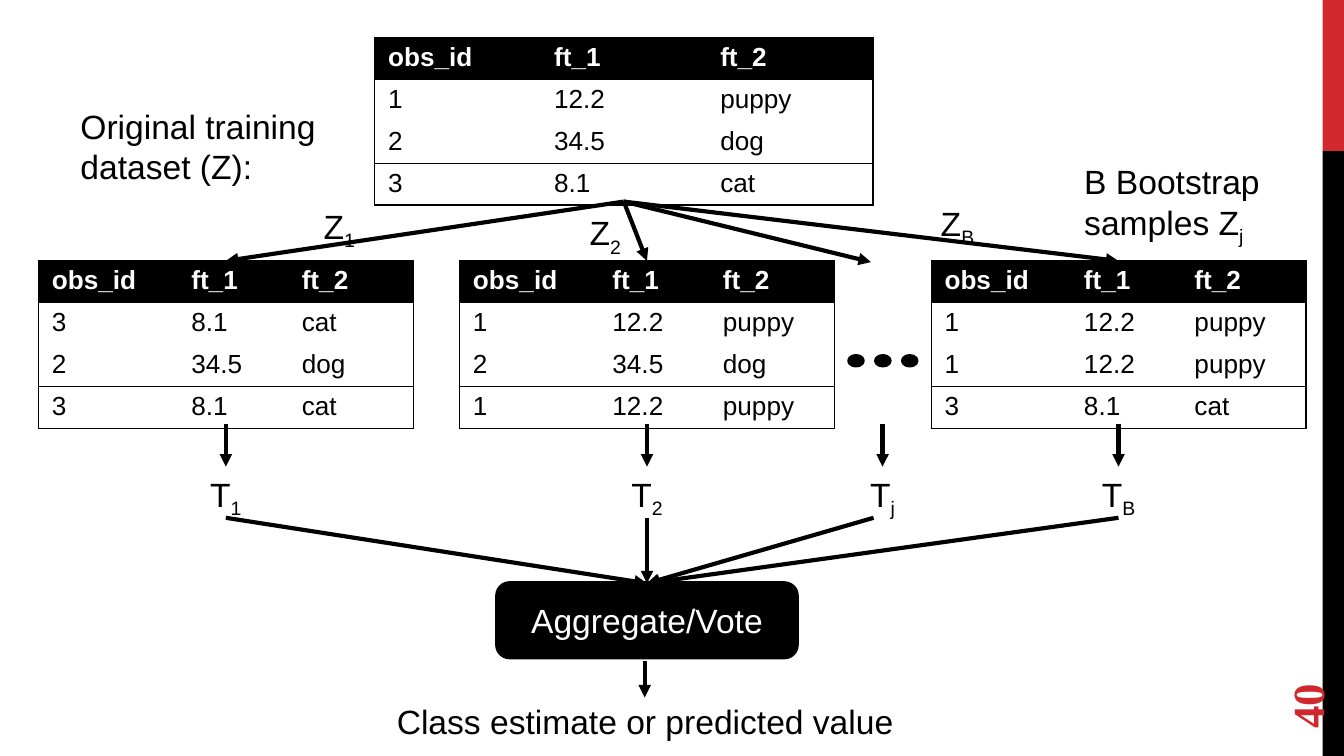
from dataclasses import dataclass

import pptx
import pptx.dml.color
import pptx.enum.shapes
import pptx.enum.text
import pptx.oxml
import pptx.oxml.ns
import pptx.util

Pt = pptx.util.Pt
RGB = pptx.dml.color.RGBColor
SHAPES = pptx.enum.shapes.MSO_SHAPE
ANCHOR = pptx.enum.text.MSO_ANCHOR
ALIGN = pptx.enum.text.PP_ALIGN
NS = pptx.oxml.ns.nsdecls("a")


@dataclass(frozen=True)
class Theme:
    """Colours, fonts and sizes of the slide."""
    ink: RGB = RGB(0, 0, 0)
    paper: RGB = RGB(255, 255, 255)
    accent: RGB = RGB(0xD1, 0x28, 0x2E)
    font: str = "Arial"
    number_font: str = "Times New Roman"
    label: int = 18
    cell: int = 14
    number: int = 24
    stroke: float = 2.25
    border: float = 0.75


THEME = Theme()
HEADER = ["obs_id", "ft_1", "ft_2"]
PUPPY, DOG, CAT = ("12.2", "puppy"), ("34.5", "dog"), ("8.1", "cat")
RULED_ROWS = (0, 1, 3)
SAMPLE_COLUMNS = [74.7, 59.2, 66.9]
SAMPLE_TOP = 139.8
SAMPLES = [
    (121, "1", [("3", *CAT), ("2", *DOG), ("3", *CAT)]),
    (346.6, "2", [("1", *PUPPY), ("2", *DOG), ("1", *PUPPY)]),
    (599.2, "B", [("1", *PUPPY), ("1", *PUPPY), ("3", *CAT)]),
]


def style_font(paragraph, size=THEME.label, color=THEME.ink, bold=False, name=THEME.font):
    """Set the font of a whole paragraph."""
    font = paragraph.font
    font.name, font.size, font.bold = name, Pt(size), bold
    font.color.rgb = color


def add_label(slide, left, top, width, height, text, subscript="", align=ALIGN.LEFT):
    """Add a text box, ending in a subscript where one is given."""
    box = slide.shapes.add_textbox(Pt(left), Pt(top), Pt(width), Pt(height))
    frame = box.text_frame
    frame.word_wrap = True
    frame.auto_size = pptx.enum.text.MSO_AUTO_SIZE.SHAPE_TO_FIT_TEXT
    paragraph = frame.paragraphs[0]
    paragraph.alignment = align
    paragraph.add_run().text = text
    if subscript:
        run = paragraph.add_run()
        run.text = subscript
        run.font._element.set("baseline", "-25000")
    style_font(paragraph)


def add_block(slide, kind, left, top, width, height, color, outlined=True):
    """Add a filled preset shape without shadow."""
    block = slide.shapes.add_shape(kind, Pt(left), Pt(top), Pt(width), Pt(height))
    block.shadow.inherit = False
    block.fill.solid()
    block.fill.fore_color.rgb = color
    if outlined:
        block.line.color.rgb = color
        block.line.width = Pt(THEME.stroke)
    else:
        block.line.fill.background()
    return block


def add_arrow(slide, start, end, target=None):
    """Add an arrow, joined to the top of a target where one is given."""
    arrow = slide.shapes.add_connector(
        pptx.enum.shapes.MSO_CONNECTOR.STRAIGHT, *map(Pt, (*start, *end)))
    arrow.line.color.rgb = THEME.ink
    arrow.line.width = Pt(THEME.stroke)
    arrow.line._get_or_add_ln().append(
        pptx.oxml.parse_xml(f'<a:tailEnd {NS} type="triangle"/>'))
    arrow._element.spPr.append(pptx.oxml.parse_xml(f"<a:effectLst {NS}/>"))
    if target is not None:
        arrow.end_connect(target, 0)


def set_borders(cell, drawn):
    """Draw the named sides of a cell and clear the others."""
    properties = cell._tc.get_or_add_tcPr()
    for side in "LRTB":
        paint = (f'<a:solidFill><a:srgbClr val="{THEME.ink}"/></a:solidFill>'
                 if side in drawn else "<a:noFill/>")
        properties.append(pptx.oxml.parse_xml(
            f'<a:ln{side} {NS} w="{Pt(THEME.border)}">{paint}</a:ln{side}>'))


def cell_sides(row, column):
    """Name the ruled sides of the cell at a row and column."""
    return {
        "L": column == 0,
        "R": column == len(HEADER) - 1,
        "T": row in RULED_ROWS,
        "B": row + 1 in RULED_ROWS or row == 3,
    }


def add_dataset(slide, left, top, widths, row_height, records):
    """Add a table of observations under the header row."""
    rows = [HEADER, *records]
    table = slide.shapes.add_table(
        len(rows), len(widths), Pt(left), Pt(top),
        Pt(sum(widths)), Pt(row_height * len(rows))).table
    table.first_row = table.horz_banding = False
    for column, width in zip(table.columns, widths):
        column.width = Pt(width)
    for r, values in enumerate(rows):
        table.rows[r].height = Pt(row_height)
        for c, value in enumerate(values):
            cell = table.cell(r, c)
            cell.text = value
            cell.margin_left = cell.margin_right = Pt(7.2)
            cell.margin_top = cell.margin_bottom = Pt(2.8)
            set_borders(cell, [s for s, on in cell_sides(r, c).items() if on])
            heading = r == 0
            if heading:
                cell.fill.solid()
                cell.fill.fore_color.rgb = THEME.ink
            else:
                cell.fill.background()
            style_font(cell.text_frame.paragraphs[0], THEME.cell,
                       THEME.paper if heading else THEME.ink, heading)


def add_page_edge(slide):
    """Add the coloured edge and the rotated page number."""
    add_block(slide, SHAPES.RECTANGLE, 708.6, 0, 11.4, 81, THEME.accent, False)
    add_block(slide, SHAPES.RECTANGLE, 708.6, 81, 11.4, 324, THEME.ink, False)
    number = slide.shapes.add_textbox(Pt(661), Pt(344.2), Pt(77.8), Pt(28.8))
    number.rotation = 270
    number.text_frame.word_wrap = True
    number.text_frame.vertical_anchor = ANCHOR.MIDDLE
    number.text_frame.text = "40"
    style_font(number.text_frame.paragraphs[0], THEME.number, THEME.accent, True,
               THEME.number_font)


def add_sampling(slide):
    """Add the training data and the bootstrap samples drawn from it."""
    root = (334.2, 108)
    add_dataset(slide, 200.7, 20.3, [89] * 3, 21.8, [("1", *PUPPY), ("2", *DOG), ("3", *CAT)])
    add_label(slide, 36, 53.3, 150.5, 38.2, "Original training dataset (Z):")
    for center, _, records in SAMPLES:
        add_dataset(slide, center - sum(SAMPLE_COLUMNS) / 2, SAMPLE_TOP,
                    SAMPLE_COLUMNS, 22.1, records)
        add_arrow(slide, root, (center, SAMPLE_TOP))
    add_arrow(slide, root, (466.6, 140.4))
    for (_, index, _), (left, top) in zip(
            SAMPLES, [(161.3, 106.6), (303.8, 110.2), (492.5, 105.1)]):
        add_label(slide, left, top, 41, 21.6, "Z", index, ALIGN.CENTER)
    add_label(slide, 573.8, 82.8, 151.2, 38.2, "B Bootstrap samples Z", "j")
    for step in range(3):
        add_block(slide, SHAPES.OVAL, 455 + 14.4 * step, 190.8, 7.2, 5, THEME.ink)


def add_voting(slide):
    """Add the trees, the vote that joins them and its result."""
    vote = add_block(slide, SHAPES.ROUNDED_RECTANGLE, 266.4, 312.5, 160.4, 39.6, THEME.ink)
    vote.text_frame.text = "Aggregate/Vote"
    vote.text_frame.vertical_anchor = ANCHOR.MIDDLE
    caption = vote.text_frame.paragraphs[0]
    caption.alignment = ALIGN.CENTER
    style_font(caption, color=THEME.paper)
    trees = [(center, index, center) for center, index, _ in SAMPLES]
    for center, index, exit_x in [*trees, (472.8, "j", 468)]:
        add_arrow(slide, (center, 227), (center, 250))
        add_label(slide, center - 30.6, 250.2, 61.2, 21.6, "T", index, ALIGN.CENTER)
        add_arrow(slide, (exit_x, 277.4), (346.6, 312.5), vote)
    add_arrow(slide, (345.4, 354.2), (345.4, 373.7))
    add_label(slide, 184.3, 372.2, 322.6, 21.6, "Class estimate or predicted value",
              align=ALIGN.CENTER)


def main():
    """Build the bootstrap aggregation slide."""
    deck = pptx.Presentation()
    deck.slide_width, deck.slide_height = Pt(720), Pt(405)
    slide = deck.slides.add_slide(deck.slide_layouts[6])
    add_page_edge(slide)
    add_sampling(slide)
    add_voting(slide)
    deck.save("out.pptx")


if __name__ == "__main__":
    main()
